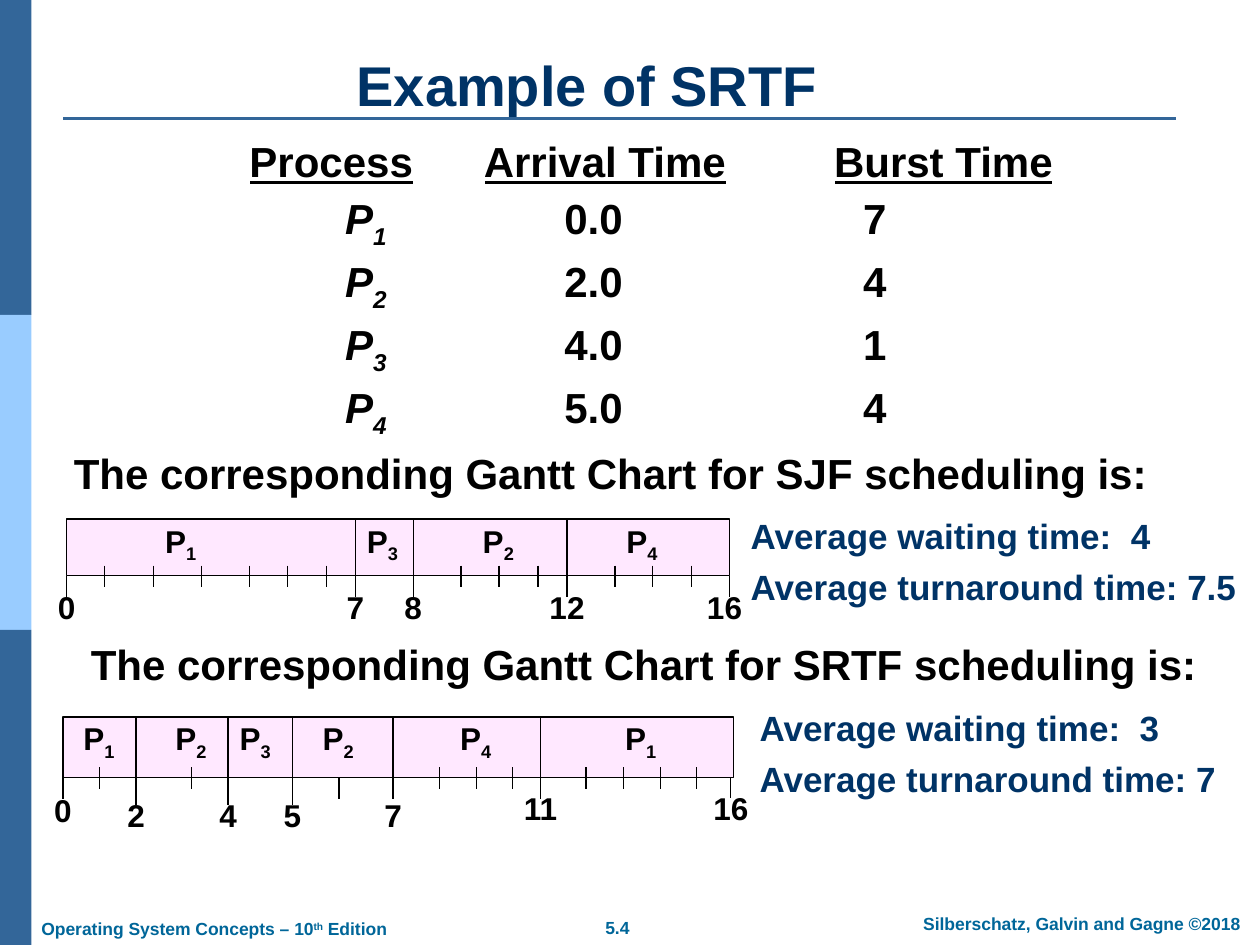
from lxml import etree
from pptx import Presentation
from pptx.dml.color import RGBColor
from pptx.enum import shapes, text
from pptx.oxml import ns
from pptx.util import Inches, Pt

NAVY = RGBColor(0x00, 0x33, 0x66)
BLUE = RGBColor(0x33, 0x66, 0x99)
SKY = RGBColor(0x99, 0xCC, 0xFF)
TEAL = RGBColor(0x00, 0x66, 0x99)
PINK = RGBColor(0xFF, 0xDD, 0xFF)
BLACK = RGBColor(0, 0, 0)
LEFT, CENTER = text.PP_ALIGN.LEFT, text.PP_ALIGN.CENTER
TOP, MIDDLE = text.MSO_ANCHOR.TOP, text.MSO_ANCHOR.MIDDLE

# Content
TITLE = "Example of SRTF"
HEADINGS = ["Process", "Arrival Time", "Burst Time"]
PROCESSES = [("1", "0.0", "7"), ("2", "2.0", "4"), ("3", "4.0", "1"), ("4", "5.0", "4")]
SJF_CAPTION = "The corresponding Gantt Chart for SJF scheduling is:"
SRTF_CAPTION = "The corresponding Gantt Chart for SRTF scheduling is:"
COLUMN_WIDTHS = (1.86, 2.78, 2.1)
VALUE_INDENTS = (0.76, 0.64, 0.23)

# bar: left, top, width, height; jobs: number, centre
# marks: time, x, line end, label top; ticks: x positions on the bar's lower edge
GANTTS = [
    dict(bar=(0.53, 4.12, 5.26, 0.45),
         jobs=[("1", 1.43), ("3", 3.03), ("2", 3.95), ("4", 5.09)],
         marks=[("0", 0.53, 4.74, 4.62), ("7", 2.82, 4.74, 4.62), ("8", 3.28, 4.74, 4.62),
                ("12", 4.5, 4.74, 4.62), ("16", 5.79, 4.74, 4.62)],
         ticks=[0.83, 1.22, 1.6, 1.98, 2.28, 2.59, 3.66, 3.96, 4.27, 4.88, 5.18, 5.49],
         low_ticks=[],
         averages=["Average waiting time:  4", "Average turnaround time: 7.5"],
         averages_at=(5.86, 4.12, 4.17, 0.74)),
    dict(bar=(0.5, 5.69, 5.32, 0.48),
         jobs=[("1", 0.78), ("2", 1.51), ("3", 2.02), ("2", 2.68), ("4", 3.77), ("1", 5.08)],
         marks=[("0", 0.5, 6.34, 6.23), ("2", 1.08, 6.39, 6.27), ("4", 1.81, 6.39, 6.27),
                ("5", 2.32, 6.39, 6.27), ("7", 3.12, 6.34, 6.27), ("11", 4.29, 6.34, 6.21),
                ("16", 5.8, 6.33, 6.21)],
         ticks=[0.79, 1.52, 3.49, 3.78, 4.07, 4.65, 4.95, 5.24, 5.53],
         low_ticks=[2.69],
         averages=["Average waiting time:  3", "Average turnaround time: 7"],
         averages_at=(5.93, 5.64, 4.17, 0.74)),
]
FOOTERS = [
    ("5.4", (4.41, 7.23, 0.98, 0.27), CENTER, False),
    ("Silberschatz, Galvin and Gagne ©2018", (7.1, 7.2, 2.97, 0.27), CENTER, True),
    ([("Operating System Concepts – 10", {}), ("th", {"base": 30}), (" Edition", {})],
     (0.23, 7.24, 2.94, 0.27), LEFT, False),
]


def place(sp, at):
    sp.left, sp.top, sp.width, sp.height = map(Inches, at)


def set_paragraph(p, content, size=18, color=BLACK, align=LEFT, spacing=None):
    """Content is a string or a list of (text, run format) pairs."""
    pPr = p._p.get_or_add_pPr()
    pPr.set("marL", "0")
    pPr.set("indent", "0")
    etree.SubElement(pPr, ns.qn("a:buNone"))
    p.alignment = align
    p.space_before = Pt(0)
    if spacing:
        p.line_spacing = Pt(spacing)
    for words, style in [(content, {})] if isinstance(content, str) else content:
        r = p.add_run()
        r.text = words
        r.font.name, r.font.size, r.font.bold = "Arial", Pt(size), True
        r.font.color.rgb = color
        r.font.italic = style.get("italic", False)
        r.font.underline = style.get("underline", False)
        if "base" in style:
            r._r.get_or_add_rPr().set("baseline", str(style["base"] * 1000))


def set_frame(sp, anchor=TOP, wrap=True):
    tf = sp.text_frame
    tf.word_wrap, tf.vertical_anchor = wrap, anchor
    tf.auto_size = text.MSO_AUTO_SIZE.NONE
    return tf


def add_text(s, content, at, anchor=TOP, wrap=False, **fmt):
    sp = s.shapes.add_textbox(*map(Inches, at))
    set_paragraph(set_frame(sp, anchor, wrap).paragraphs[0], content, **fmt)


def add_rect(s, at, fill, line=None):
    sp = s.shapes.add_shape(shapes.MSO_SHAPE.RECTANGLE, *map(Inches, at))
    sp.shadow.inherit = False
    sp.fill.solid()
    sp.fill.fore_color.rgb = fill
    if line is None:
        sp.line.fill.background()
    else:
        sp.line.color.rgb, sp.line.width = line, Pt(0.75)
    return sp


def add_line(s, x1, y1, x2, y2, color=BLACK, width=0.75):
    c = s.shapes.add_connector(shapes.MSO_CONNECTOR.STRAIGHT, *map(Inches, (x1, y1, x2, y2)))
    c.line.color.rgb, c.line.width = color, Pt(width)
    etree.SubElement(c._element.spPr, ns.qn("a:effectLst"))


def add_process_table(s, left, top, heading_height, row_height):
    rows = [[[(h, {"underline": True})] for h in HEADINGS]]
    for number, arrival, burst in PROCESSES:
        name = [("P", {"italic": True}), (number, {"italic": True, "base": -25})]
        rows.append([name, arrival, burst])
    size = (sum(COLUMN_WIDTHS), heading_height + row_height * len(PROCESSES))
    table = s.shapes.add_table(len(rows), len(HEADINGS), *map(Inches, (left, top, *size))).table
    table.first_row = table.horz_banding = False
    for column, width in zip(table.columns, COLUMN_WIDTHS):
        column.width = Inches(width)
    for i, row in enumerate(rows):
        table.rows[i].height = Inches(row_height if i else heading_height)
        for j, content in enumerate(row):
            cell = table.cell(i, j)
            cell.fill.background()
            cell.margin_top = cell.margin_bottom = cell.margin_right = 0
            cell.margin_left = Inches(VALUE_INDENTS[j] if i else 0)
            cell.vertical_anchor = TOP
            set_paragraph(cell.text_frame.paragraphs[0], content, size=24)


def add_gantt(s, bar, jobs, marks, ticks, low_ticks, averages, averages_at):
    left, top, width, height = bar
    bottom = top + height
    sp = add_rect(s, bar, PINK, BLACK)
    color = sp.fill._xPr.find(".//" + ns.qn("a:srgbClr"))
    etree.SubElement(color, ns.qn("a:alpha"), val="65000")
    for number, x in jobs:
        add_text(s, [("P", {}), (number, {"base": -25})], (x - 0.22, top - 0.03, 0.45, 0.44),
                 anchor=MIDDLE, align=CENTER)
    # Inner marks cross the bar, outer ones hang from its corners
    for i, (time, x, end, label_top) in enumerate(marks):
        inner = 0 < i < len(marks) - 1
        add_line(s, x, top if inner else bottom, x, end)
        w = 0.2 + 0.14 * len(time)
        nudge = -0.04 if time == "16" and x == left + width else 0
        add_text(s, time, (x - w / 2 + nudge, label_top, w, 0.4), anchor=MIDDLE, align=CENTER)
    for x in ticks:
        add_line(s, x, bottom - 0.08, x, bottom + 0.09)
    for x in low_ticks:
        add_line(s, x, bottom, x, bottom + 0.17)
    tf = set_frame(s.shapes.add_textbox(*map(Inches, averages_at)))
    for p, line, spacing in zip((tf.paragraphs[0], tf.add_paragraph()), averages, (18, 29)):
        set_paragraph(p, line, size=20, color=NAVY, spacing=spacing)


def main():
    prs = Presentation()
    prs.slide_width, prs.slide_height = Inches(10), Inches(7.5)
    s = prs.slides.add_slide(prs.slide_layouts[1])

    # Side band, rule and footer
    for i, color in enumerate((BLUE, SKY, BLUE)):
        add_rect(s, (0, 2.5 * i, 0.25, 2.5), color)
    add_line(s, 0.5, 0.94, 9.33, 0.94, BLUE, 1.5)
    for content, at, align, wrap in FOOTERS:
        add_text(s, content, at, wrap=wrap, size=10, color=TEAL, align=align)

    # Title and first caption
    title, body = s.placeholders
    place(title, (0.7, 0.35, 7.92, 0.64))
    set_paragraph(set_frame(title).paragraphs[0], TITLE, size=32, color=NAVY, align=CENTER)
    place(body, (0.27, 3.5, 9.15, 0.5))
    set_paragraph(set_frame(body).paragraphs[0], SJF_CAPTION, size=24, align=CENTER)

    # Process table
    add_process_table(s, 1.98, 1.11, 0.45, 0.5)

    # Gantt charts
    add_text(s, SRTF_CAPTION, (0.62, 5.02, 8.98, 0.5), size=24, align=CENTER)
    for gantt in GANTTS:
        add_gantt(s, **gantt)

    prs.save("out.pptx")


if __name__ == "__main__":
    main()
